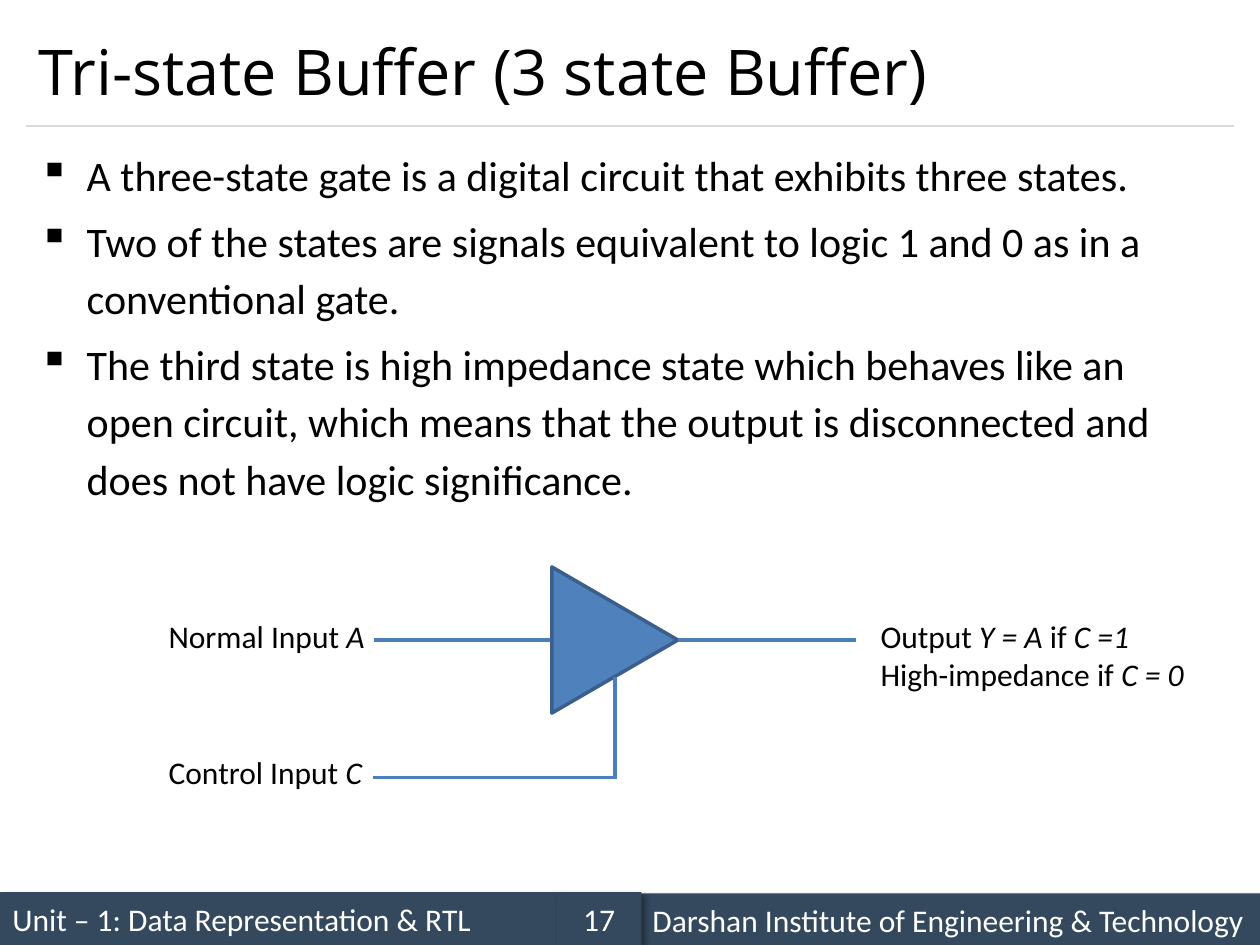
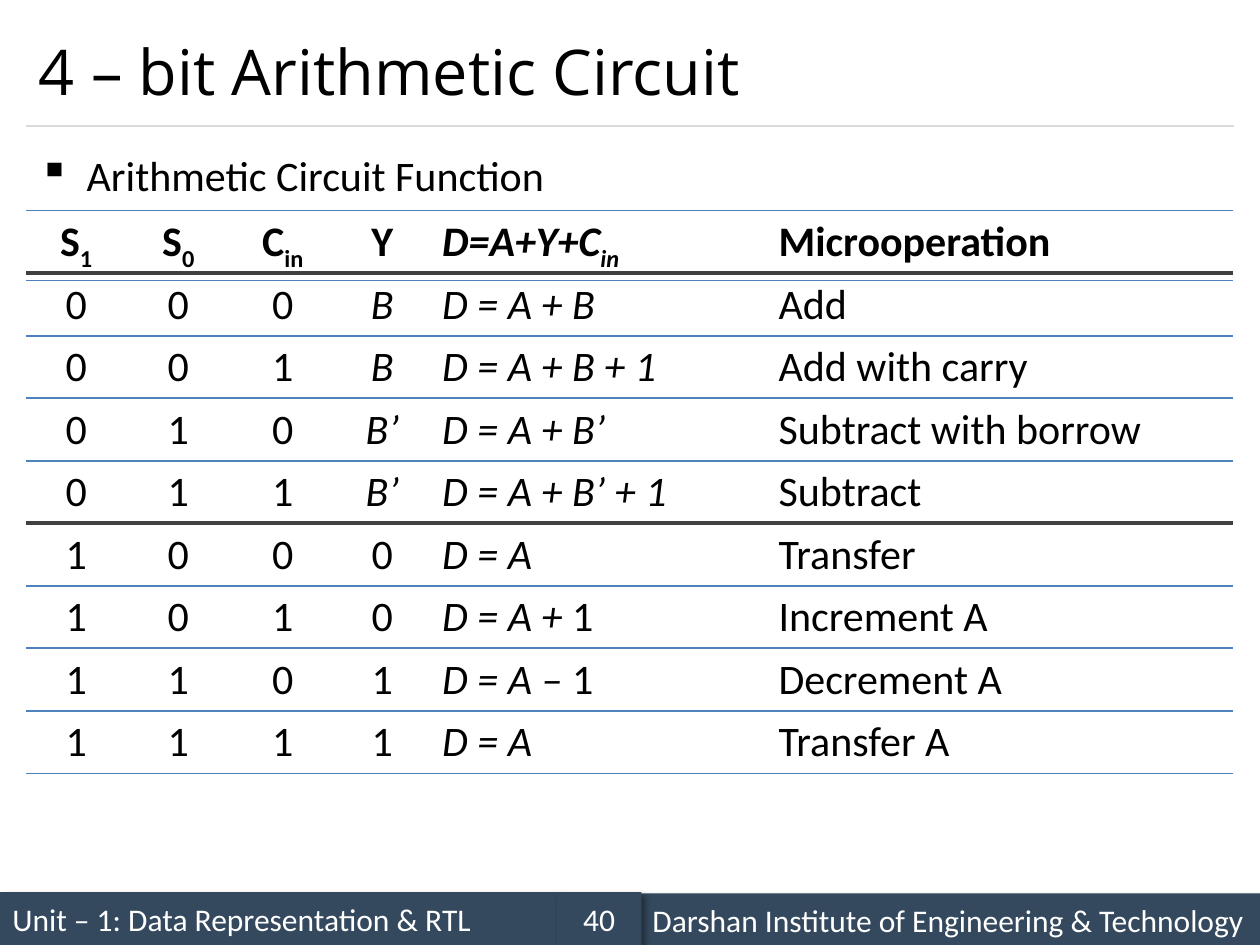
"""Build two lecture slides on the tri-state buffer and the 4-bit arithmetic circuit."""
from lxml.etree import SubElement
from pptx import Presentation
from pptx.dml.color import RGBColor
from pptx.enum.shapes import MSO_CONNECTOR, MSO_SHAPE
from pptx.enum.text import MSO_ANCHOR, PP_ALIGN
from pptx.oxml.ns import qn
from pptx.util import Inches, Pt

THEME = {
    "band": "34495E", "rule": "D9D9D9", "wire": "4B7EBC", "gate": "4F81BD",
    "gate_edge": "3A5F8C", "border": "4F81BD", "double": "404040",
    "text": "000000", "light": "FFFFFF",
    "title_font": "Open Sans", "body_font": "Calibri",
    "title_size": 36, "body_size": 24, "label_size": 18,
}
LEFT, WIDTH = 0.21, 9.58
FOOTER_UNIT = "Unit – 1: Data Representation & RTL"
FOOTER_SCHOOL = "Darshan Institute of Engineering & Technology"

BUFFER_TITLE = "Tri-state Buffer (3 state Buffer)"
BUFFER_POINTS = [
    "A three-state gate is a digital circuit that exhibits three states.",
    "Two of the states are signals equivalent to logic 1 and 0 as in a conventional gate.",
    "The third state is high impedance state which behaves like an open circuit, "
    "which means that the output is disconnected and does not have logic significance.",
]
BUFFER_LABELS = [
    ((1.24, 4.85, 1.77, 0.4), [["Normal Input ", ("A", "i")]], False),
    ((1.24, 5.93, 1.77, 0.4), [["Control Input ", ("C", "i")]], False),
    ((6.89, 4.85, 2.9, 0.71), [["Output ", ("Y = A", "i"), " if ", ("C =1", "i")],
                               ["High-impedance if ", ("C = 0", "i")]], True),
]
GATE = (4.3, 4.58, 1.16, 1)
INPUT_WIRE = ((2.97, 5.08), (4.38, 5.08))
GATE_WIRES = [
    ((5.38, 5.08), (6.79, 5.08)),
    ((2.96, 6.17), (4.9, 6.17)),
    ((4.88, 5.37), (4.88, 6.17)),
]

CIRCUIT_TITLE = "4 – bit Arithmetic Circuit"
CIRCUIT_POINTS = ["Arithmetic Circuit Function"]
COLUMN_WIDTHS = [0.79, 0.83, 0.83, 0.75, 2.67, 3.71]
CENTRED_COLUMNS = 4
TABLE_TOP, ROW_PITCH, ROW_HEIGHT = 1.67, 0.496, 0.5
DOUBLE_TOP_ROWS = (1, 5)
HEADER = [
    [("S", "b"), ("1", "bs")], [("S", "b"), ("0", "bs")], [("C", "b"), ("in", "bs")],
    [("Y", "b")], [("D=A+Y+C", "bi"), ("in", "bis")], [("Microoperation", "b")],
]
FUNCTIONS = [
    ("000", ("B", "i"), [("D = A + B", "i")], "Add"),
    ("001", ("B", "i"), [("D = A + B + 1", "i")], "Add with carry"),
    ("010", ("B’", "i"), [("D = A + B’", "i")], "Subtract with borrow"),
    ("011", ("B’", "i"), [("D = A + B’ + 1", "i")], "Subtract"),
    ("100", "0", [("D = A", "i")], "Transfer"),
    ("101", "0", [("D = A + ", "i"), "1"], "Increment A"),
    ("110", "1", [("D = A – ", "i"), "1"], "Decrement A"),
    ("111", "1", [("D = A", "i")], "Transfer A"),
]


def color(name):
    return RGBColor.from_string(THEME[name])


def set_values(target, values):
    for name, value in values.items():
        setattr(target, name, value)


def place(*lengths):
    return [Inches(length) for length in lengths]


def write(para, spans, size="body_size", font="body_font", ink="text"):
    for item in spans:
        text, marks = (item, "") if isinstance(item, str) else item
        span = para.add_run()
        span.text = text
        set_values(span.font, {"size": Pt(THEME[size]), "name": THEME[font],
                               "bold": "b" in marks, "italic": "i" in marks})
        span.font.color.rgb = color(ink)
        if "s" in marks:
            span._r.get_or_add_rPr().set("baseline", "-25000")


def paragraphs(frame, lines):
    for index, line in enumerate(lines):
        yield (frame.add_paragraph() if index else frame.paragraphs[0]), line


def add_text(page, at, lines, wrap=True, anchor=MSO_ANCHOR.TOP, **style):
    frame = page.shapes.add_textbox(*place(*at)).text_frame
    set_values(frame, {"word_wrap": wrap, "vertical_anchor": anchor})
    for para, line in paragraphs(frame, lines):
        write(para, line, **style)


def add_line(page, ends, ink, weight):
    (x1, y1), (x2, y2) = ends
    line = page.shapes.add_connector(MSO_CONNECTOR.STRAIGHT, *place(x1, y1, x2, y2))
    line.line.color.rgb = color(ink)
    line.line.width = Pt(weight)
    SubElement(line._element.spPr, qn("a:effectLst"))


def add_band(page, at, text, align=PP_ALIGN.LEFT):
    band = page.shapes.add_shape(MSO_SHAPE.RECTANGLE, *place(*at))
    band.fill.solid()
    band.fill.fore_color.rgb = color("band")
    band.line.fill.background()
    effects = SubElement(band._element.spPr, qn("a:effectLst"))
    shadow = SubElement(effects, qn("a:outerShdw"), blurRad=str(Pt(4)), dist=str(Pt(3)),
                        dir="2700000", algn="tl", rotWithShape="0")
    shade = SubElement(shadow, qn("a:srgbClr"), val=THEME["text"])
    SubElement(shade, qn("a:alpha"), val="40000")
    band.text_frame.vertical_anchor = MSO_ANCHOR.MIDDLE
    para = band.text_frame.paragraphs[0]
    para.alignment = align
    write(para, [text], size="label_size", ink="light")


def add_bullets(page, height, points):
    frame = page.shapes.add_textbox(*place(LEFT, 1.08, WIDTH, height)).text_frame
    frame.word_wrap = True
    for para, point in paragraphs(frame, points):
        set_values(para, {"line_spacing": 1.14, "space_before": Pt(4.8 if para.text or point != points[0] else 0)})
        properties = para._p.get_or_add_pPr()
        properties.set("marL", str(Inches(0.38)))
        properties.set("indent", str(-Inches(0.38)))
        SubElement(properties, qn("a:buChar"), char="▪")
        write(para, [point])


def add_page(deck, title, number):
    page = deck.slides.add_slide(deck.slide_layouts[6])
    add_band(page, (0, 7.08, 4.42, 0.42), FOOTER_UNIT)
    add_line(page, ((LEFT, 1), (LEFT + WIDTH, 1)), "rule", 0.75)
    add_band(page, (5.08, 7.09, 4.92, 0.42), FOOTER_SCHOOL)
    add_band(page, (4.42, 7.08, 0.67, 0.42), number, PP_ALIGN.CENTER)
    add_text(page, (LEFT, 0.12, WIDTH, 0.88), [[title]], anchor=MSO_ANCHOR.MIDDLE,
             size="title_size", font="title_font")
    return page


def add_gate(page):
    gate = page.shapes.add_shape(MSO_SHAPE.ISOSCELES_TRIANGLE, *place(*GATE))
    gate.rotation = 90
    gate.shadow.inherit = False
    gate.fill.solid()
    gate.fill.fore_color.rgb = color("gate")
    gate.line.color.rgb = color("gate_edge")
    gate.line.width = Pt(2)


def set_borders(cell, double_top):
    properties = cell._tc.get_or_add_tcPr()
    for side in ("lnL", "lnR"):
        SubElement(SubElement(properties, qn(f"a:{side}"), w="0"), qn("a:noFill"))
    for side, double in (("lnT", double_top), ("lnB", False)):
        edge = SubElement(properties, qn(f"a:{side}"), w=str(Pt(3 if double else 1)),
                          cmpd="dbl" if double else "sng")
        fill = SubElement(edge, qn("a:solidFill"))
        SubElement(fill, qn("a:srgbClr"), val=THEME["double" if double else "border"])
    cell.fill.background()


def add_row_table(page, index, cells):
    top = TABLE_TOP + index * ROW_PITCH
    table = page.shapes.add_table(1, len(cells), *place(LEFT, top, WIDTH, ROW_HEIGHT)).table
    set_values(table, {"first_row": False, "horz_banding": False})
    for number, spans in enumerate(cells):
        table.columns[number].width = Inches(COLUMN_WIDTHS[number])
        cell = table.cell(0, number)
        set_borders(cell, index in DOUBLE_TOP_ROWS)
        para = cell.text_frame.paragraphs[0]
        para.alignment = PP_ALIGN.CENTER if number < CENTRED_COLUMNS else PP_ALIGN.LEFT
        write(para, spans)


def build_buffer(deck):
    page = add_page(deck, BUFFER_TITLE, "17")
    add_bullets(page, 3, BUFFER_POINTS)
    add_line(page, INPUT_WIRE, "wire", 2)
    add_gate(page)
    for wire in GATE_WIRES:
        add_line(page, wire, "wire", 2)
    for at, lines, wrap in BUFFER_LABELS:
        add_text(page, at, lines, wrap, size="label_size")


def build_circuit(deck):
    page = add_page(deck, CIRCUIT_TITLE, "40")
    add_bullets(page, 0.67, CIRCUIT_POINTS)
    rows = [[[bit] for bit in bits] + [[operand], output, [operation]]
            for bits, operand, output, operation in FUNCTIONS]
    for index, cells in enumerate([HEADER, *rows]):
        add_row_table(page, index, cells)


def main():
    deck = Presentation()
    set_values(deck, {"slide_width": Inches(10), "slide_height": Inches(7.5)})
    build_buffer(deck)
    build_circuit(deck)
    deck.save("out.pptx")


if __name__ == "__main__":
    main()
